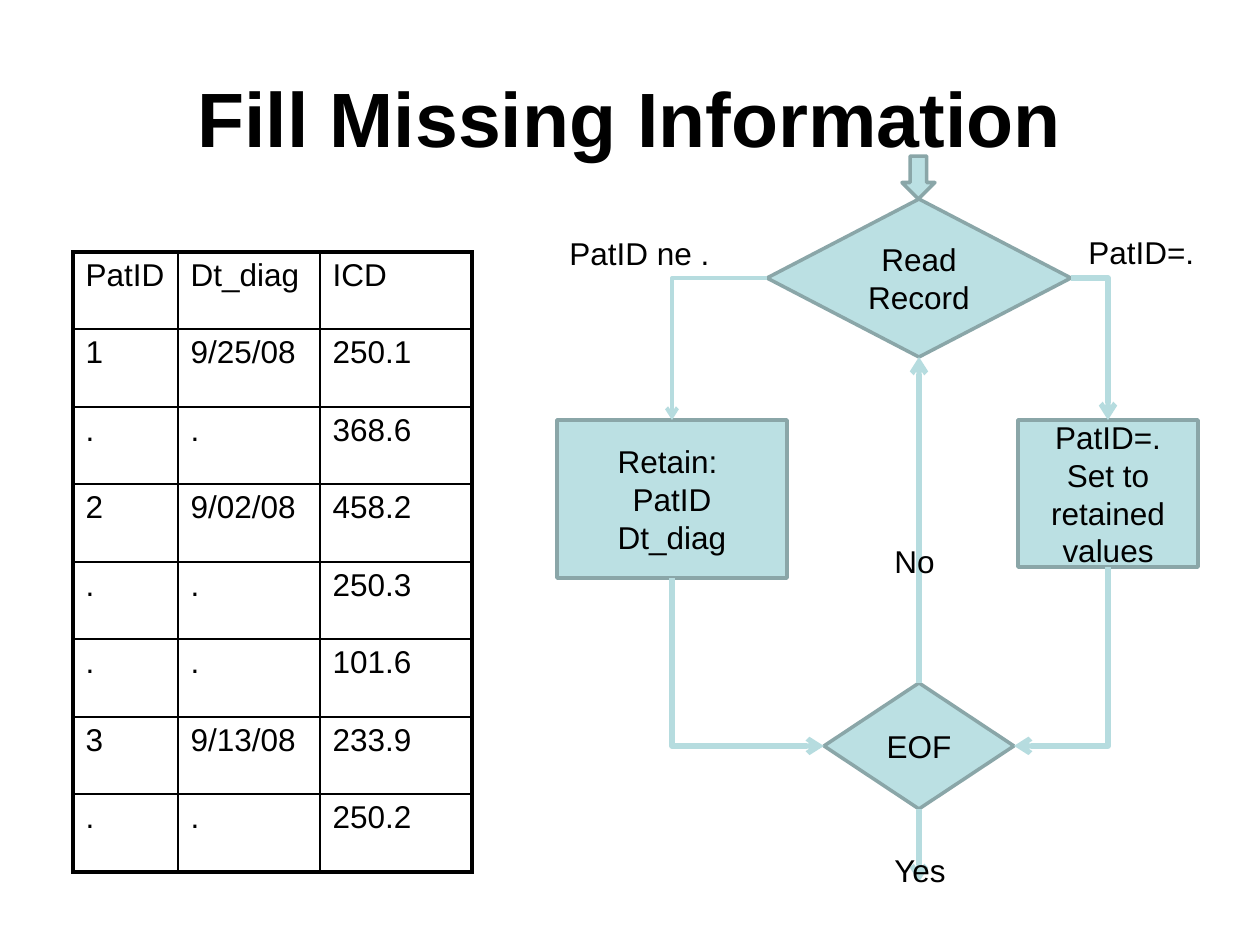
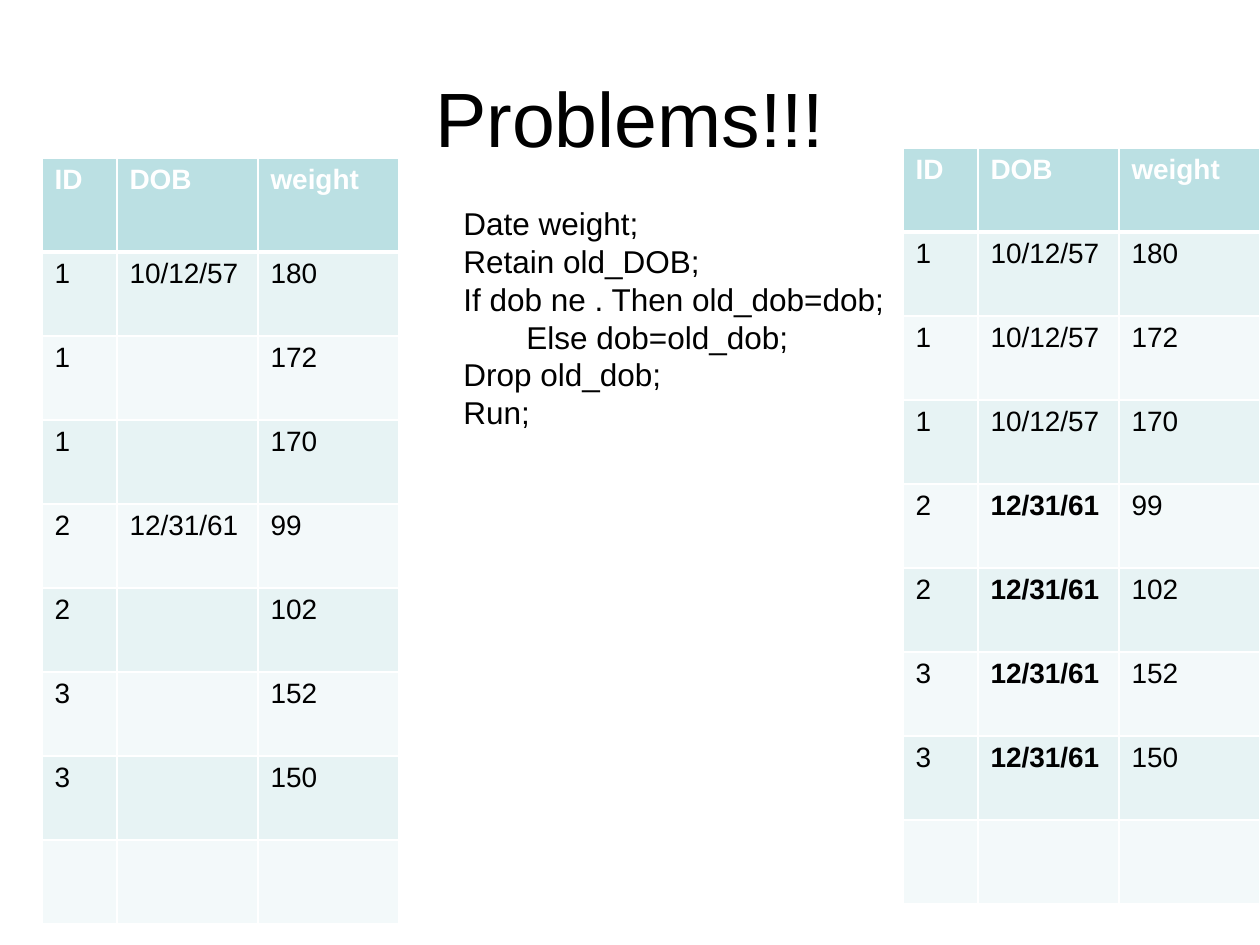
from pptx import Presentation
from pptx.dml.color import RGBColor
from pptx.enum.shapes import MSO_CONNECTOR, MSO_SHAPE
from pptx.enum.text import MSO_ANCHOR, MSO_AUTO_SIZE, PP_ALIGN
from pptx.oxml.ns import qn
from pptx.util import Emu, Pt
from lxml.etree import SubElement

# Content
DIAGNOSES = [
    ("PatID", "Dt_diag", "ICD"),
    ("1", "9/25/08", "250.1"),
    (".", ".", "368.6"),
    ("2", "9/02/08", "458.2"),
    (".", ".", "250.3"),
    (".", ".", "101.6"),
    ("3", "9/13/08", "233.9"),
    (".", ".", "250.2"),
]
# name: preset, box in px, lines of text
FLOW = {
    "read": (MSO_SHAPE.DIAMOND, (767, 199, 304, 158), ["Read Record"]),
    "retain": (MSO_SHAPE.RECTANGLE, (557, 420, 230, 158), ["Retain: ", "PatID", "Dt_diag"]),
    "set": (MSO_SHAPE.RECTANGLE, (1018, 420, 180, 147), ["PatID=.", "Set to retained values"]),
    "eof": (MSO_SHAPE.DIAMOND, (824, 683, 190, 126), ["EOF"]),
    "start": (MSO_SHAPE.DOWN_ARROW, (902, 156, 33, 43), []),
}
TOP, LEFT, BOTTOM, RIGHT = range(4)
# diamond, its side, box, its side, arrow end, line width
ELBOWS = [
    ("read", LEFT, "retain", TOP, "tailEnd", 2.25),
    ("read", RIGHT, "set", TOP, "tailEnd", 3),
    ("eof", LEFT, "retain", BOTTOM, "headEnd", 3),
    ("eof", RIGHT, "set", BOTTOM, "headEnd", 3),
]
FLOW_LABELS = [
    ("PatID ne .", (557, 228, 166, 51)),
    ("PatID=.", (1076, 227, 132, 51)),
    ("No", (882, 536, 66, 51)),
    ("Yes", (882, 845, 77, 51)),
]
VISITS_HEAD = ("ID", "DOB", "weight")
VISITS = [
    ("1", "10/12/57", "180"),
    ("1", "", "172"),
    ("1", "", "170"),
    ("2", "12/31/61", "99"),
    ("2", "", "102"),
    ("3", "", "152"),
    ("3", "", "150"),
    ("", "", ""),
]
CODE = [
    "Date weight;",
    "Retain old_DOB;",
    "If dob ne . Then old_dob=dob;",
    "\tElse dob=old_dob;",
    "Drop old_dob;",
    "Run;",
]

# Shared look
COLORS = {"ink": "000000", "paper": "FFFFFF", "aqua": "BBE0E3", "edge": "8AA6A8",
          "flow": "B6DCDF", "band": "E7F3F4", "pale": "F3F9FA"}
FONT = "Arial"
PX = 914400 / 126


def px(n):
    return Emu(round(n * PX))


def rgb(name):
    return RGBColor.from_string(COLORS[name])


def write(tf, lines, size=18, color="ink", bold=False, align=None):
    for i, line in enumerate(lines):
        p = tf.paragraphs[0] if i == 0 else tf.add_paragraph()
        p.text = line
        p.alignment = align
        p.font.name, p.font.size, p.font.bold = FONT, Pt(size), bold
        p.font.color.rgb = rgb(color)


def add_title(s, text, bold=False):
    tf = s.shapes.add_textbox(*map(px, (63, 38, 1134, 157))).text_frame
    tf.word_wrap = True
    tf.vertical_anchor = MSO_ANCHOR.MIDDLE
    write(tf, [text], 44, bold=bold, align=PP_ALIGN.CENTER)


def add_label(s, lines, box):
    tf = s.shapes.add_textbox(*map(px, box)).text_frame
    tf.word_wrap = False
    tf.auto_size = MSO_AUTO_SIZE.SHAPE_TO_FIT_TEXT
    write(tf, lines)


def add_flow_shape(s, preset, box, lines):
    sp = s.shapes.add_shape(preset, *map(px, box))
    sp.shadow.inherit = False
    sp.fill.solid()
    sp.fill.fore_color.rgb = rgb("aqua")
    sp.line.color.rgb = rgb("edge")
    sp.line.width = Pt(2)
    sp.text_frame.vertical_anchor = MSO_ANCHOR.MIDDLE
    write(sp.text_frame, lines, align=PP_ALIGN.CENTER)
    return sp


def add_flow_line(s, kind, begin, end, arrow="tailEnd", width=3):
    """Join two (shape, side) ends; an end may also be a bare px point."""
    target, side = end
    cx = s.shapes.add_connector(kind, 0, 0, 0, 0)
    cx.begin_connect(*begin)
    if isinstance(target, int):
        cx.end_x, cx.end_y = px(target), px(side)
    else:
        cx.end_connect(target, side)
    cx.line.color.rgb = rgb("flow")
    cx.line.width = Pt(width)
    spPr = cx._element.spPr
    if kind == MSO_CONNECTOR.ELBOW:
        spPr.find(qn("a:prstGeom")).set("prst", "bentConnector2")
    SubElement(spPr.find(qn("a:ln")), qn("a:" + arrow), type="arrow")
    SubElement(spPr, qn("a:effectLst"))


def set_borders(cell, color, **widths):
    tcPr = cell._tc.get_or_add_tcPr()
    for side in "LRTB":
        ln = SubElement(tcPr, qn("a:ln" + side), w=str(Pt(widths.get(side, 1))))
        fill = SubElement(ln, qn("a:solidFill"))
        SubElement(fill, qn("a:srgbClr"), val=COLORS[color])


def add_grid(s, rows, x, y, widths, heights, style):
    """style(row, column) gives the border colour, border widths, fill and text look."""
    box = map(px, (x, y, sum(widths), sum(heights)))
    table = s.shapes.add_table(len(rows), len(widths), *box).table
    table.first_row = table.horz_banding = False
    for column, width in zip(table.columns, widths):
        column.width = px(width)
    for r, row in enumerate(rows):
        table.rows[r].height = px(heights[r])
        for c, text in enumerate(row):
            cell = table.cell(r, c)
            border, edges, fill, look = style(r, c)
            set_borders(cell, border, **edges)
            if fill:
                cell.fill.solid()
                cell.fill.fore_color.rgb = rgb(fill)
            else:
                cell.fill.background()
            write(cell.text_frame, [text], **look)


def diagnosis_style(r, c):
    last_row, last_col = len(DIAGNOSES) - 1, len(DIAGNOSES[0]) - 1
    outer = {"L": c == 0, "R": c == last_col, "T": r == 0, "B": r == last_row}
    return "ink", {side: 2.25 for side, on in outer.items() if on}, None, {}


def visit_style(bold_cells=()):
    def style(r, c):
        if r == 0:
            return "paper", {"B": 3}, "aqua", {"size": 16, "color": "paper", "bold": True}
        edges = {"T": 3} if r == 1 else {}
        look = {"size": 16, "bold": (r, c) in bold_cells}
        return "paper", edges, "band" if r % 2 else "pale", look
    return style


def carry_dob(visits):
    """Fill each missing DOB with the last one seen."""
    filled, old_dob = [], ""
    for pat, dob, weight in visits:
        old_dob = dob or old_dob
        filled.append((pat, old_dob if pat else "", weight))
    return filled


def build_flow_slide(s):
    add_title(s, "Fill Missing Information", bold=True)
    heights = [77, 78] * (len(DIAGNOSES) // 2)
    add_grid(s, DIAGNOSES, 73, 252, (105, 142, 152), heights, diagnosis_style)

    # Flow chart
    nodes = {name: add_flow_shape(s, *spec) for name, spec in FLOW.items()}
    for diamond, side, box, box_side, arrow, width in ELBOWS:
        add_flow_line(s, MSO_CONNECTOR.ELBOW, (nodes[diamond], side),
                      (nodes[box], box_side), arrow, width)
    add_flow_line(s, MSO_CONNECTOR.STRAIGHT, (nodes["eof"], TOP), (nodes["read"], BOTTOM))
    add_flow_line(s, MSO_CONNECTOR.STRAIGHT, (nodes["eof"], BOTTOM), (919, 882))
    for text, box in FLOW_LABELS:
        add_label(s, [text], box)


def build_problem_slide(s):
    add_title(s, "Problems!!!")
    widths, body = (75, 141, 141), [84] * len(VISITS)
    add_grid(s, [VISITS_HEAD] + VISITS, 42, 158, widths, [94] + body, visit_style())
    add_label(s, CODE, (451, 198, 450, 280))

    # Later patients' DOBs stand out in bold
    filled = [VISITS_HEAD] + carry_dob(VISITS)
    later = {(r, 1) for r, row in enumerate(filled) if row[0] in ("2", "3")}
    add_grid(s, filled, 903, 148, widths, [84] + body, visit_style(later))


def main():
    prs = Presentation()
    prs.slide_width, prs.slide_height = px(1260), px(945)
    for build in (build_flow_slide, build_problem_slide):
        build(prs.slides.add_slide(prs.slide_layouts[6]))
    prs.save("out.pptx")


if __name__ == "__main__":
    main()
